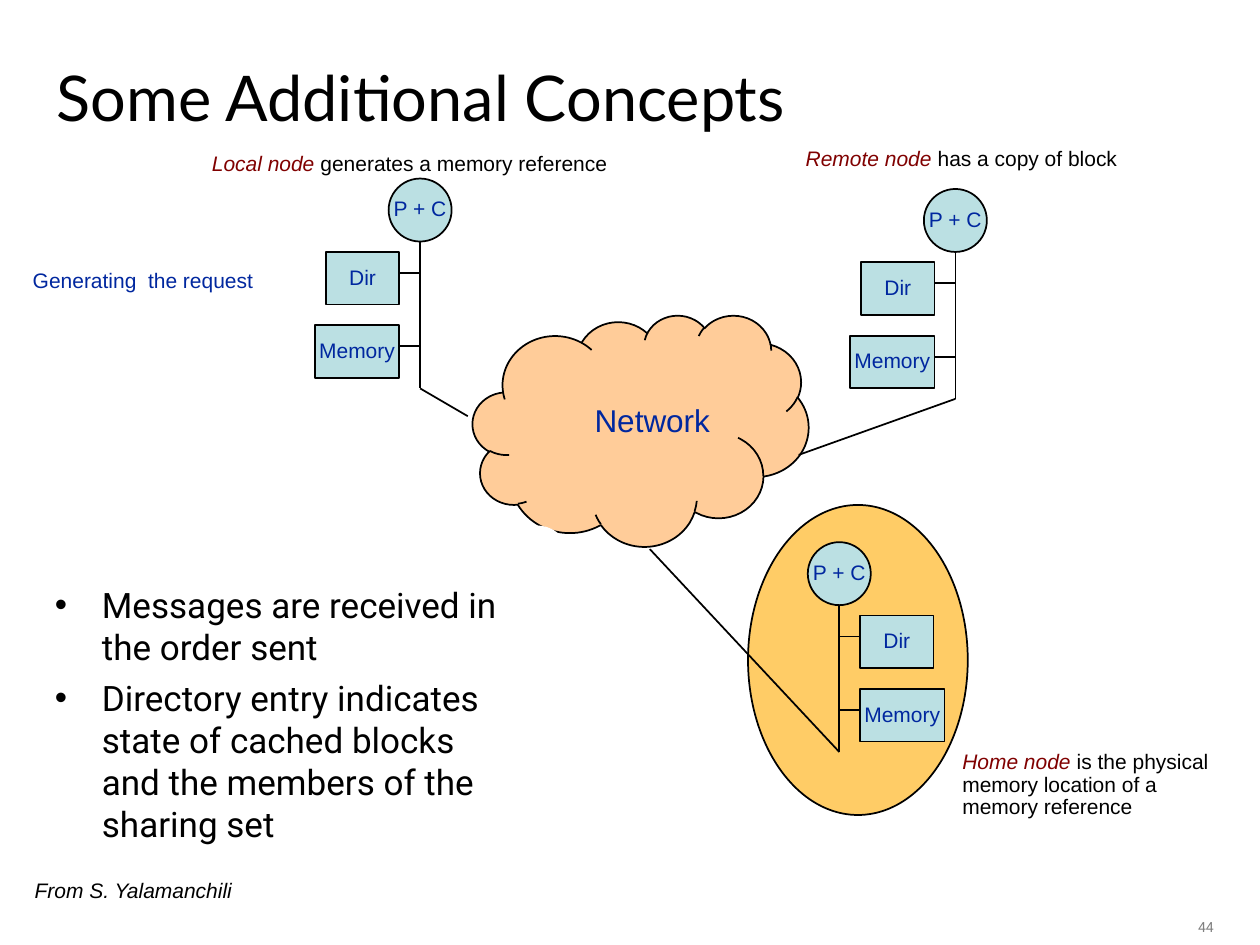
from lxml.etree import SubElement
from pptx import Presentation
from pptx.dml.color import RGBColor
from pptx.enum.shapes import MSO_CONNECTOR as Link, MSO_SHAPE as Preset
from pptx.enum.text import MSO_ANCHOR as Anchor, MSO_AUTO_SIZE as AutoSize, PP_ALIGN as Align
from pptx.oxml.ns import qn
from pptx.util import Cm, Pt

COLORS = {
    "black": "000000", "white": "FFFFFF", "blue": "00279F", "maroon": "800000",
    "gray": "808080", "teal": "BBE0E3", "gold": "FFCC66", "peach": "FFCC99",
}


def rgb(name):
    return RGBColor.from_string(COLORS[name])


class Diagram:
    label_font = "Arial"
    list_font = "Roboto"
    title_font = "Lato"
    label_size = 12
    stroke = Pt(1)

    def __init__(self, slide):
        self.slide = slide

    def style(self, run, size, color, face, italic=False):
        run.font.size = Pt(size)
        run.font.name = face
        run.font.italic = italic
        run.font.color.rgb = rgb(color)

    def place(self, shape, box):
        shape.left, shape.top, shape.width, shape.height = map(Cm, box)

    def title(self, text, box):
        heading = self.slide.shapes.title
        self.place(heading, box)
        frame = heading.text_frame
        frame.text = text
        frame.auto_size = AutoSize.NONE
        frame.vertical_anchor = Anchor.MIDDLE
        frame.paragraphs[0].alignment = Align.LEFT
        self.style(frame.paragraphs[0].runs[0], 36, "black", self.title_font)

    def bullets(self, items, box):
        body = self.slide.placeholders[1]
        self.place(body, box)
        self.bring_to_front(body)
        frame = body.text_frame
        frame.text = "\n".join(items)
        frame.auto_size = AutoSize.NONE
        for index, paragraph in enumerate(frame.paragraphs):
            props = paragraph._p.get_or_add_pPr()
            props.set("marL", str(Cm(0.95)))
            props.set("indent", str(Cm(-0.95)))
            bullet_color = SubElement(props, qn("a:buClr"))
            SubElement(bullet_color, qn("a:srgbClr"), val=COLORS["black"])
            SubElement(props, qn("a:buChar"), char="•")
            paragraph.space_before = Pt(5 if index else 0)
            self.style(paragraph.runs[0], 20, "black", self.list_font)

    def bring_to_front(self, shape):
        shape.element.getparent().append(shape.element)

    def label(self, parts, box, size=label_size, face=label_font,
              align=Align.CENTER, wrap=False, spacing=0.9):
        frame = self.slide.shapes.add_textbox(*map(Cm, box)).text_frame
        frame.word_wrap = wrap
        paragraph = frame.paragraphs[0]
        paragraph.alignment = align
        paragraph.line_spacing = spacing
        for text, color, italic in parts:
            run = paragraph.add_run()
            run.text = text
            self.style(run, size, color, face, italic)

    def shape(self, preset, box, fill, text="", outlined=True, parent=None):
        shape = (parent or self.slide).shapes.add_shape(preset, *map(Cm, box))
        shape.shadow.inherit = False
        shape.fill.solid()
        shape.fill.fore_color.rgb = rgb(fill)
        if outlined:
            shape.line.color.rgb = rgb("black")
            shape.line.width = self.stroke
        else:
            shape.line.fill.background()
        if text:
            frame = shape.text_frame
            frame.text = text
            frame.word_wrap = False
            frame.vertical_anchor = Anchor.MIDDLE
            paragraph = frame.paragraphs[0]
            paragraph.alignment = Align.CENTER
            paragraph.line_spacing = 0.9
            self.style(paragraph.runs[0], self.label_size, "blue", self.label_font)
        return shape

    def line(self, start, end, parent=None):
        link = (parent or self.slide).shapes.add_connector(
            Link.STRAIGHT, *map(Cm, (*start, *end)))
        link.line.color.rgb = rgb("black")
        link.line.width = self.stroke
        SubElement(link._element.spPr, qn("a:effectLst"))

    def node(self, bus, top, side):
        group = self.slide.shapes.add_group_shape()
        diameter, gap, height = 1.27, 0.42, 1.06
        self.shape(Preset.OVAL, (bus - diameter / 2, top, diameter, diameter),
                   "teal", "P + C", parent=group)
        for name, width, drop in (("Dir", 1.48, 1.48), ("Memory", 1.7, 2.96)):
            edge = bus + side * gap
            left = edge if side > 0 else edge - width
            self.shape(Preset.RECTANGLE, (left, top + drop, width, height),
                       "teal", name, parent=group)
            tap = top + drop + gap
            self.line((edge, tap), (bus, tap), group)
        bus_end = (bus, top + 4.23)
        self.line((bus, top + diameter), bus_end, group)
        return bus_end


def main():
    deck = Presentation()
    deck.slide_width, deck.slide_height = Cm(25.4), Cm(19.05)
    diagram = Diagram(deck.slides.add_slide(deck.slide_layouts[1]))

    diagram.title("Some Additional Concepts", (0.89, 0.89, 22.86, 2.1))

    diagram.shape(Preset.OVAL, (15.08, 10.18, 4.43, 6.25), "gold")
    remote_end = diagram.node(19.26, 3.81, -1)
    local_end = diagram.node(8.47, 3.6, -1)
    home_end = diagram.node(16.92, 10.93, 1)

    network = diagram.shape(Preset.CLOUD_CALLOUT, (9.53, 6.35, 6.77, 4.66), "peach")
    network.adjustments[0], network.adjustments[1] = -0.44, 0.7
    cover = diagram.shape(Preset.OVAL, (9, 10.9, 2.74, 1.8), "white", outlined=False)
    cover.rotation = 308.9

    diagram.line(local_end, (9.43, 8.39))
    diagram.line(remote_end, (16.1, 9.17))
    diagram.line(home_end, (13.1, 11.07))

    diagram.label([("Local node", "maroon", True),
                   (" generates a memory reference", "black", False)],
                  (4.02, 2.97, 8.48, 0.71))
    diagram.label([("Remote node", "maroon", True),
                   (" has a copy of block", "black", False)],
                  (15.98, 2.86, 6.81, 0.71))
    diagram.label([("Home node", "maroon", True),
                   (" is the physical memory location of a memory reference", "black", False)],
                  (19.15, 15.02, 5.92, 1.63), align=Align.LEFT, wrap=True)
    diagram.label([("Generating  the request", "blue", False)], (0.41, 5.33, 4.95, 0.71))
    diagram.label([("Network", "blue", False)], (11.73, 8.05, 2.84, 0.94), size=18)
    diagram.bullets([
        "Messages are received in the order sent",
        "Directory entry indicates state of cached blocks and the members of the sharing set",
    ], (0.85, 11.64, 9.57, 6.37))
    diagram.label([("From S. Yalamanchili", "black", True)],
                  (0.43, 17.56, 4.52, 0.76), spacing=1.0)
    diagram.label([("44", "gray", False)], (23.04, 18.39, 1.68, 0.43), size=8,
                  face=Diagram.list_font, align=Align.RIGHT, wrap=True, spacing=1.0)

    deck.save("out.pptx")


if __name__ == "__main__":
    main()
